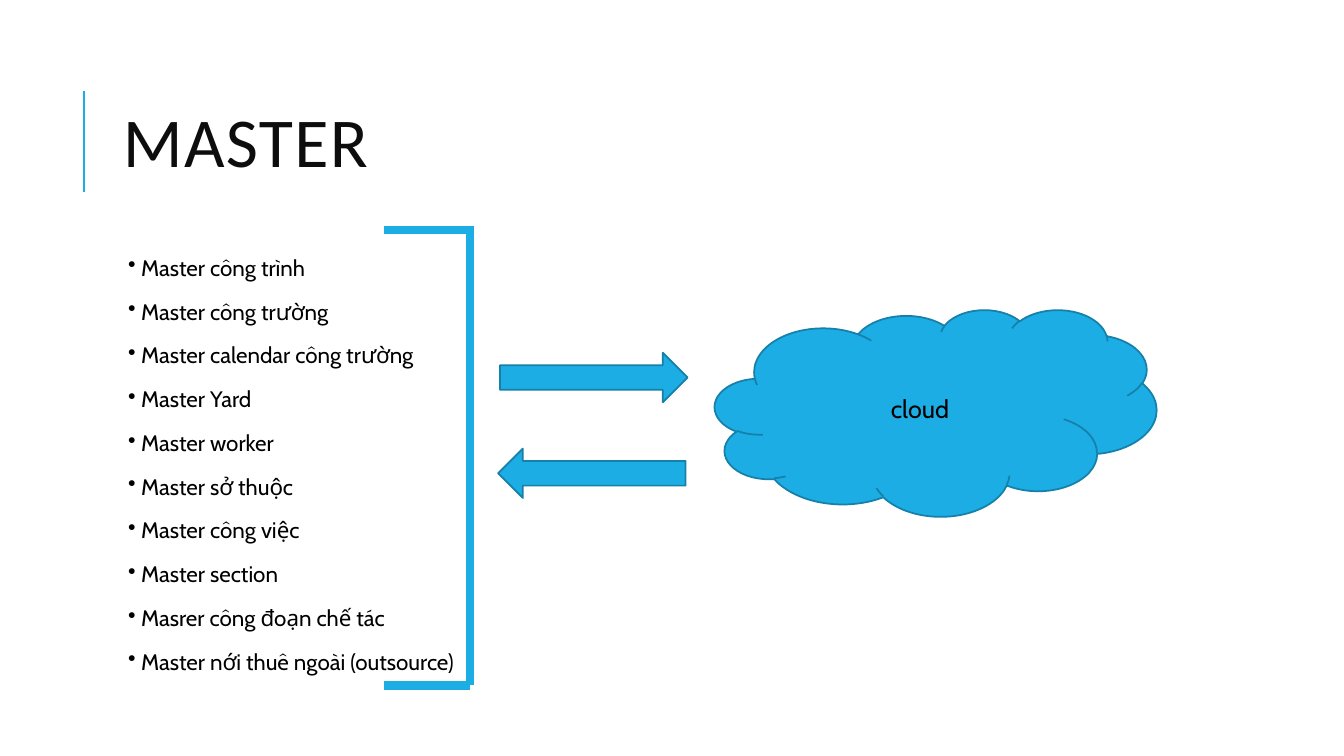
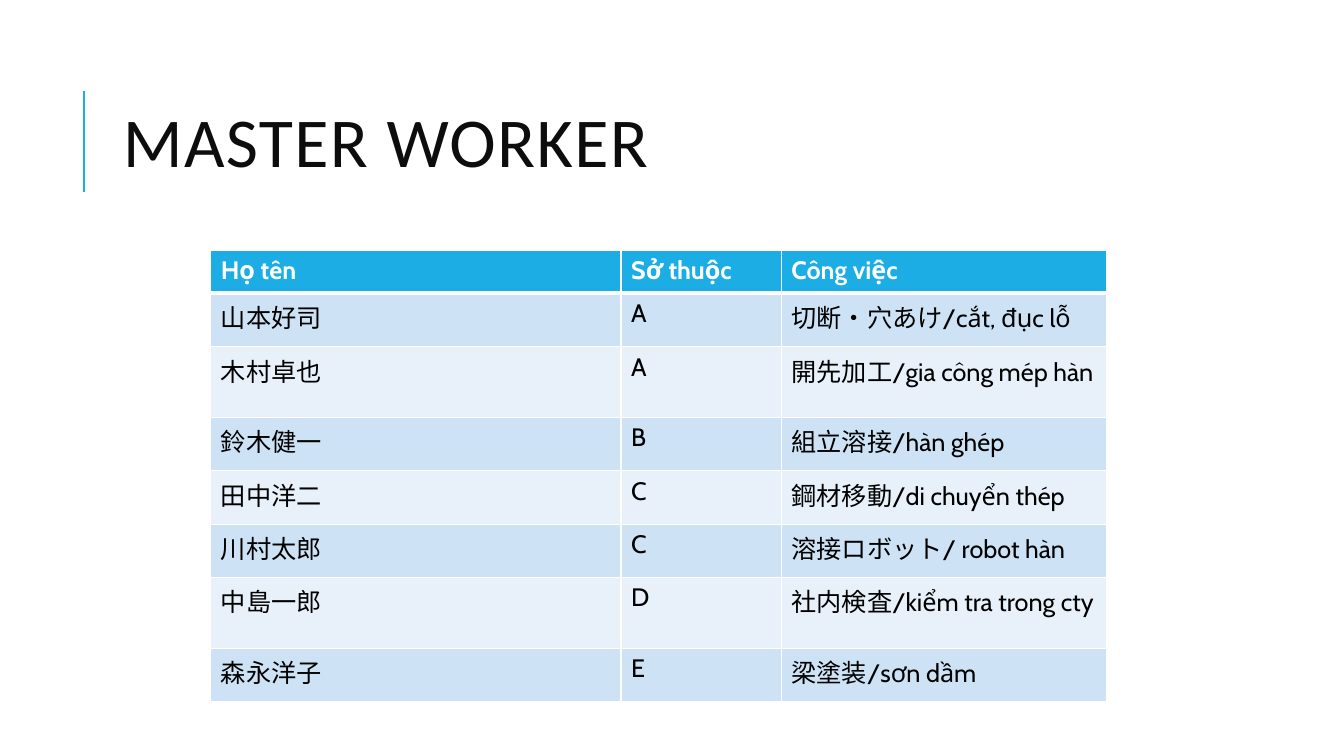
from dataclasses import dataclass

from pptx import Presentation
from pptx.dml.color import RGBColor
from pptx.enum.shapes import MSO_CONNECTOR, MSO_SHAPE
from pptx.enum.text import MSO_ANCHOR, PP_ALIGN
from pptx.oxml.ns import qn
from pptx.util import Inches, Pt
from lxml.etree import SubElement


@dataclass(frozen=True)
class Theme:
    """Colours, fonts and type sizes of the deck."""
    blue: str = "1CADE4"
    edge: str = "1580A9"
    ink: str = "0D0D0D"
    black: str = "000000"
    white: str = "FFFFFF"
    bands: tuple = ("CDE3F5", "E8F1FA")
    head: str = "Calibri"
    body: str = "Cabin"
    big: int = 50
    mid: int = 18
    small: int = 16


THEME = Theme()

ITEMS = [
    "Master công trình",
    "Master công trường",
    "Master calendar công trường",
    "Master Yard",
    "Master worker",
    "Master sở thuộc",
    "Master công việc",
    "Master section",
    "Masrer công đoạn chế tác",
    "Master nới thuê ngoài (outsource)",
]

STAFF = [
    ("Họ tên", "Sở thuộc", "Công việc"),
    ("山本好司", "A", "切断・穴あけ/cắt, đục lỗ"),
    ("木村卓也", "A", "開先加工/gia công mép hàn"),
    ("鈴木健一", "B", "組立溶接/hàn ghép"),
    ("田中洋二", "C", "鋼材移動/di chuyển thép"),
    ("川村太郎", "C", "溶接ロボット/ robot hàn"),
    ("中島一郎", "D", "社内検査/kiểm tra trong cty"),
    ("森永洋子", "E", "梁塗装/sơn dầm"),
]


def tint(code):
    """Turn a hex code into a colour."""
    return RGBColor.from_string(code)


def paint(fill, code):
    """Give a fill one solid colour."""
    fill.solid()
    fill.fore_color.rgb = tint(code)


def write(para, text, size=THEME.mid, font=THEME.body, color=THEME.black,
          bold=False, align=PP_ALIGN.LEFT, lead=None, gap=None, track=None):
    """Put formatted text in a paragraph."""
    para.alignment = align
    if lead:
        para.line_spacing = lead
    if gap:
        para.space_before, para.space_after = map(Pt, gap)
    run = para.add_run()
    run.text = text
    run.font.size = Pt(size)
    run.font.name = font
    run.font.bold = bold
    run.font.color.rgb = tint(color)
    if track:
        run.font._element.set("spc", str(track * 100))


def add_line(slide, start, end, width):
    """Draw a straight blue line."""
    ends = [Inches(v) for v in (*start, *end)]
    line = slide.shapes.add_connector(MSO_CONNECTOR.STRAIGHT, *ends)
    line.line.color.rgb = tint(THEME.blue)
    line.line.width = Pt(width)
    SubElement(line._element.spPr, qn("a:effectLst"))


def add_box(slide, place, inset=None, anchor=MSO_ANCHOR.TOP):
    """Add a wrapping text box and return its frame."""
    frame = slide.shapes.add_textbox(*map(Inches, place)).text_frame
    frame.word_wrap = True
    frame.vertical_anchor = anchor
    if inset is not None:
        frame.margin_left = frame.margin_right = Inches(inset)
        frame.margin_top = frame.margin_bottom = Inches(inset)
    return frame


def add_shape(slide, kind, place, turn=0):
    """Add a blue preset shape with a dark edge."""
    shape = slide.shapes.add_shape(kind, *map(Inches, place))
    shape.shadow.inherit = False
    shape.rotation = turn
    paint(shape.fill, THEME.blue)
    shape.line.color.rgb = tint(THEME.edge)
    shape.line.width = Pt(1.25)
    return shape


def add_list(slide, items, place):
    """Add a bulleted list."""
    frame = add_box(slide, place, inset=0.05)
    for row, item in enumerate(items):
        para = frame.add_paragraph() if row else frame.paragraphs[0]
        props = para._p.get_or_add_pPr()
        props.set("marL", str(Inches(0.23)))
        props.set("indent", str(Inches(-0.13)))
        SubElement(props, qn("a:buChar")).set("char", "•")
        write(para, item, size=THEME.small, lead=0.9,
              gap=(12 if row else 0, 2))


def edge_cell(cell, **widths):
    """Draw white borders of the given widths round a cell."""
    props = cell._tc.get_or_add_tcPr()
    for side in "LRTB":
        line = SubElement(props, qn(f"a:ln{side}"))
        line.set("w", str(Pt(widths.get(side, 1))))
        fill = SubElement(line, qn("a:solidFill"))
        SubElement(fill, qn("a:srgbClr")).set("val", THEME.white)


def add_table(slide, rows, place, cols, tops):
    """Add a banded table with a blue head row."""
    left, top = place
    size = (left, top, sum(cols), sum(tops))
    frame = slide.shapes.add_table(len(rows), len(cols), *map(Inches, size))
    table = frame.table
    table.horz_banding = False
    for col, width in zip(table.columns, cols):
        col.width = Inches(width)
    for num, (row, high, texts) in enumerate(zip(table.rows, tops, rows)):
        row.height = Inches(high)
        head = num == 0
        for cell, text in zip(row.cells, texts):
            edge_cell(cell, T=3 if num == 1 else 1, B=3 if head else 1)
            paint(cell.fill, THEME.blue if head else THEME.bands[(num - 1) % 2])
            write(cell.text_frame.paragraphs[0], text, bold=head,
                  color=THEME.white if head else THEME.black)


def add_slide(deck, title):
    """Add a blank slide with the shared bar and title."""
    slide = deck.slides.add_slide(deck.slide_layouts[6])
    paint(slide.background.fill, THEME.white)
    add_line(slide, (0.83, 1.9), (0.83, 0.9), 1.5)
    frame = add_box(slide, (1.12, 0.64, 10.63, 1.64), anchor=MSO_ANCHOR.MIDDLE)
    write(frame.paragraphs[0], title, size=THEME.big, font=THEME.head,
          color=THEME.ink, lead=0.8, track=1)
    return slide


def add_cloud(deck):
    """Build the slide that links the master list to the cloud."""
    slide = add_slide(deck, "MASTER")
    add_list(slide, ITEMS, (1.12, 2.5, 10.63, 4.4))
    cloud = add_shape(slide, MSO_SHAPE.CLOUD, (7.09, 3.07, 4.38, 2.05))
    frame = cloud.text_frame
    frame.vertical_anchor = MSO_ANCHOR.MIDDLE
    write(frame.paragraphs[0], "cloud", align=PP_ALIGN.CENTER)
    for left, top, turn in ((4.96, 3.5, 0), (4.94, 4.45, 180)):
        add_shape(slide, MSO_SHAPE.RIGHT_ARROW, (left, top, 1.86, 0.49), turn)
    for level in (2.28, 6.8):
        add_line(slide, (3.81, level), (4.66, level), 6)
    add_line(slide, (4.66, 2.24), (4.66, 6.8), 6)


def add_staff(deck):
    """Build the slide with the table of workers."""
    slide = add_slide(deck, "MASTER WORKER")
    tops = [0.43] + [0.53] * (len(STAFF) - 1)
    add_table(slide, STAFF, (2.09, 2.48), (4.07, 1.59, 3.23), tops)


def main():
    """Build and save the deck."""
    deck = Presentation()
    deck.slide_width, deck.slide_height = Inches(13.33), Inches(7.5)
    add_cloud(deck)
    add_staff(deck)
    deck.save("out.pptx")


if __name__ == "__main__":
    main()
